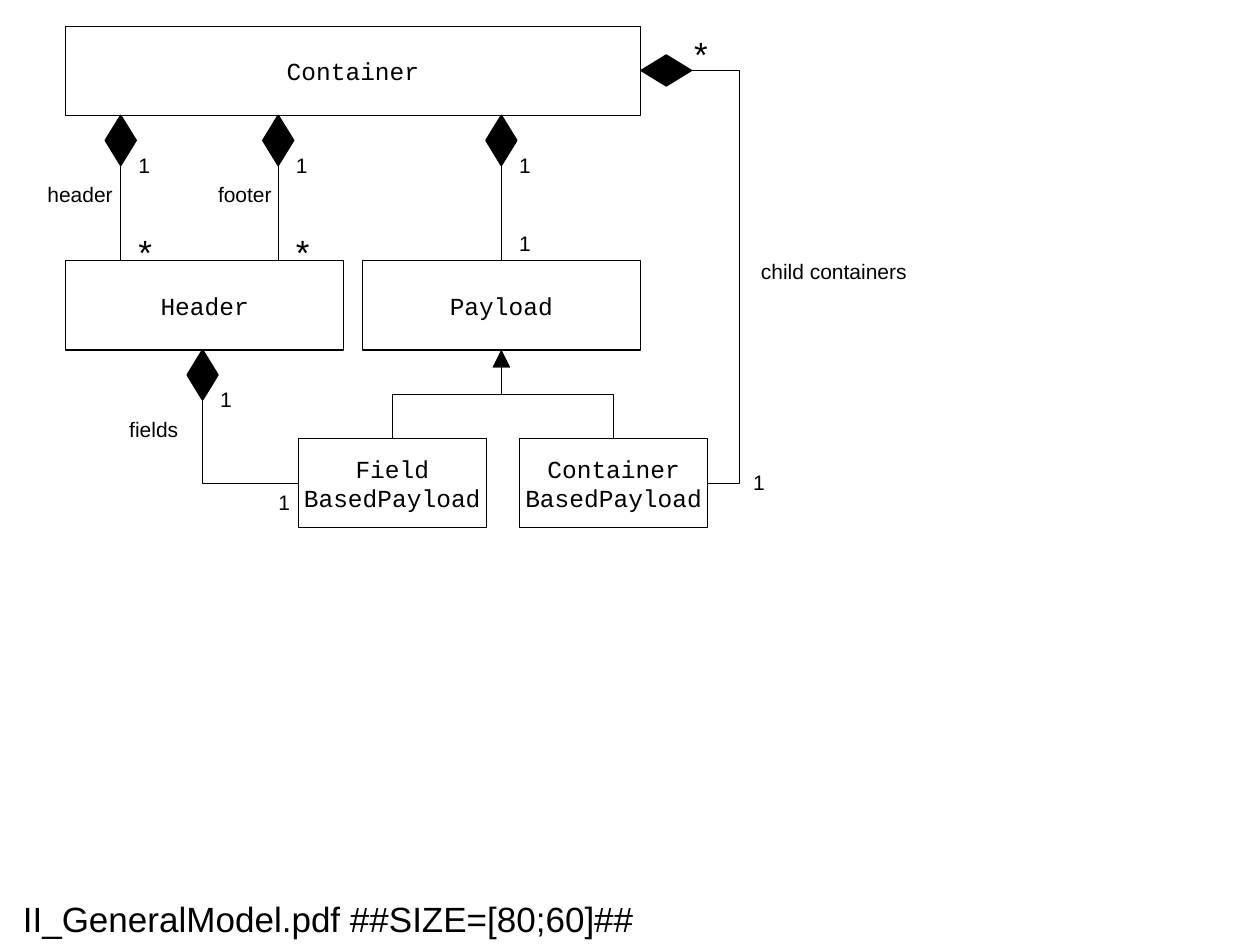
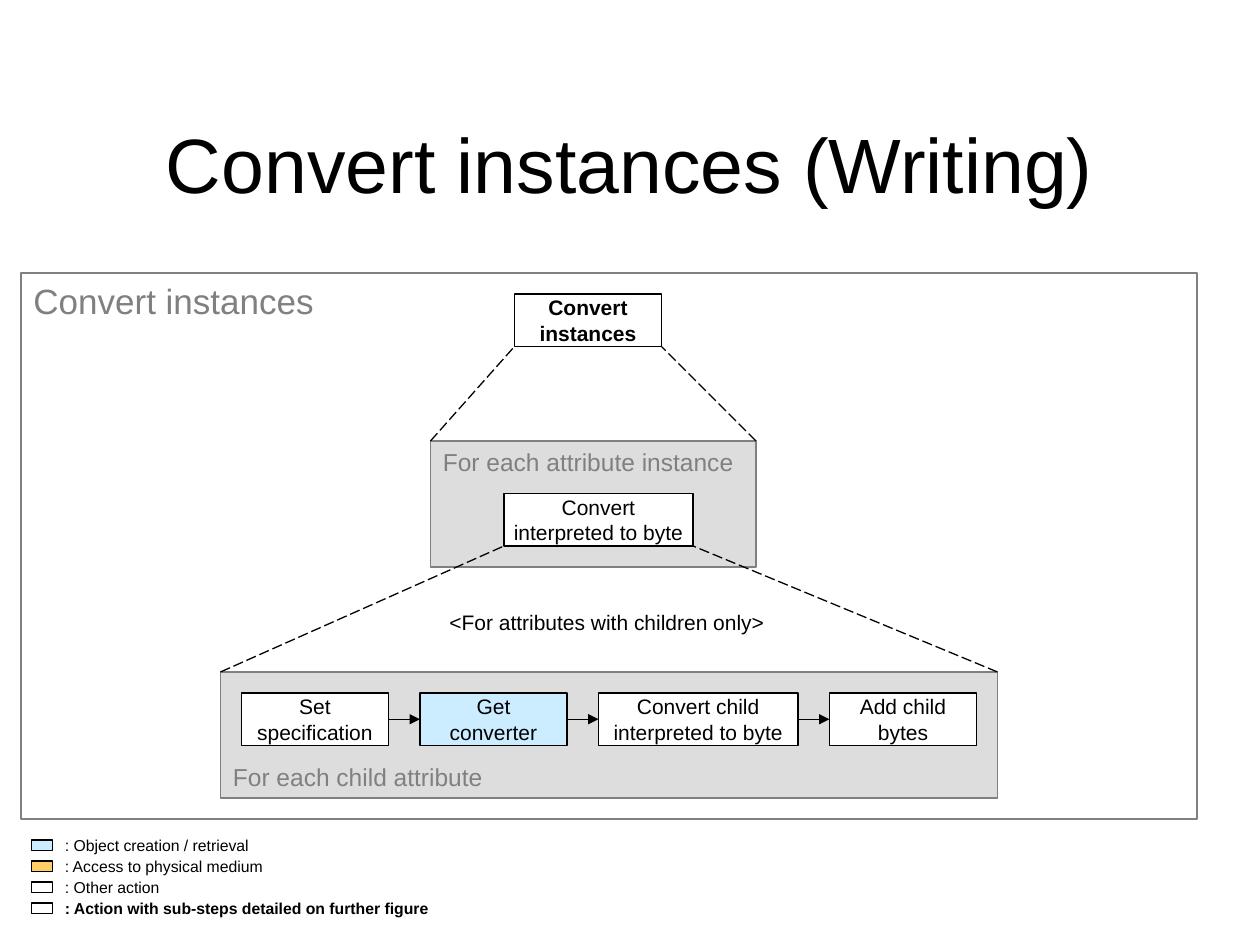
from dataclasses import dataclass

from lxml import etree
from pptx import Presentation
from pptx import util as u
from pptx.dml import color
from pptx.enum import dml, shapes, text
from pptx.oxml import ns

Pt = u.Pt


@dataclass(frozen=True)
class Theme:
    ink: str = "000000"
    paper: str = "FFFFFF"
    muted: str = "808080"
    panel: str = "DDDDDD"
    creation: str = "CCECFF"
    medium: str = "FFCC66"
    sans: str = "Arial"
    mono: str = "Courier New"
    title: int = 44
    heading: int = 20
    panel_label: int = 14
    body: int = 12
    legend: int = 9
    thin: float = 0.5
    outline: float = 0.75


T = Theme()
LEFT, CENTER = text.PP_ALIGN.LEFT, text.PP_ALIGN.CENTER
TOP, MIDDLE, BOTTOM = (text.MSO_ANCHOR.TOP, text.MSO_ANCHOR.MIDDLE,
                       text.MSO_ANCHOR.BOTTOM)

# Class model: boxes as left, top, width, height
MODEL_TITLE = "II_GeneralModel.pdf ##SIZE=[80;60]##"
CLASSES = {
    "Container": (37.5, 15, 328.5, 51),
    "Header": (37.5, 149, 159, 51),
    "Payload": (207, 149, 159, 51),
    "Field\nBasedPayload": (170.5, 250.5, 107.5, 51),
    "Container\nBasedPayload": (297, 250.5, 107.5, 51),
}
# Compositions running straight down: centre x, far multiplicity
COMPOSITIONS = [(69, "*"), (159, "*"), (286.5, "1")]
ROLES = [  # name, left, top
    ("header", 20, 100),
    ("footer", 117.5, 100),
    ("fields", 66.75, 234.5),
    ("child containers", 427.75, 144),
]
ROLE_W = 110
FIELDS_X = 115.75
CHILD_X = 422.5
DIAMOND_W, DIAMOND_H = 17.5, 28.5

# Conversion steps
STEPS_TITLE = "Convert instances (Writing)"
FRAME = ("Convert instances", (12, 156, 672, 312))
ATTRIBUTE_PANEL = ("For each attribute instance", (246, 252, 186, 72))
CHILD_PANEL = ("For each child attribute", (126, 384, 444, 72))
START = ("Convert\ninstances", (294, 168, 84, 30))
INTERPRET = ("Convert\ninterpreted to byte", (288, 282, 108, 30))
CONDITION = ("<For attributes with children only>", (249.75, 344.5, 210, 21.5))
CHILD_STEPS = [  # label, width, fill
    ("Set\nspecification", 84, T.paper),
    ("Get\nconverter", 84, T.creation),
    ("Convert child\ninterpreted to byte", 114, T.paper),
    ("Add child\nbytes", 84, T.paper),
]
STEP_LEFT, STEP_TOP, STEP_H, STEP_GAP = 138, 396, 30, 18
LEGEND = [  # meaning, fill, bold
    (": Object creation / retrieval", T.creation, False),
    (": Access to physical medium", T.medium, False),
    (": Other action", T.paper, False),
    (": Action with sub-steps detailed on further figure", T.paper, True),
]
LEGEND_TOP, LEGEND_PITCH, LEGEND_W = 480, 12, 270


def rgb(code):
    return color.RGBColor.from_string(code)


def points(values):
    return [Pt(value) for value in values]


def write(shape, words, size, font=T.sans, ink=T.ink, bold=False,
          align=LEFT, anchor=TOP, wrap=False):
    frame = shape.text_frame
    frame.word_wrap = wrap
    frame.vertical_anchor = anchor
    paragraph = frame.paragraphs[0]
    paragraph.alignment = align
    for number, line in enumerate(words.split("\n")):
        if number:
            paragraph.add_line_break()
        run = paragraph.add_run()
        run.text = line
        run.font.name, run.font.size, run.font.bold = font, Pt(size), bold
        run.font.color.rgb = rgb(ink)


def label(slide, words, box, size=T.body, **style):
    write(slide.shapes.add_textbox(*points(box)), words, size, **style)


def block(slide, box, fill=None, line=T.ink, weight=T.outline,
          kind=shapes.MSO_SHAPE.RECTANGLE):
    shape = slide.shapes.add_shape(kind, *points(box))
    shape.shadow.inherit = False
    if fill:
        shape.fill.solid()
        shape.fill.fore_color.rgb = rgb(fill)
    else:
        shape.fill.background()
    shape.line.color.rgb = rgb(line)
    shape.line.width = Pt(weight)
    return shape


def diamond(slide, center, middle, rotation=0):
    box = (center - DIAMOND_W / 2, middle - DIAMOND_H / 2, DIAMOND_W, DIAMOND_H)
    block(slide, box, T.ink, weight=1,
          kind=shapes.MSO_SHAPE.DIAMOND).rotation = rotation


def link(slide, start, end, weight=T.outline, dashed=False, arrow=None,
         kind=shapes.MSO_CONNECTOR.STRAIGHT):
    """Draw a connector; arrow is the size of its head, med or lg."""
    line = slide.shapes.add_connector(kind, *points(start + end))
    line.line.color.rgb = rgb(T.ink)
    line.line.width = Pt(weight)
    if dashed:
        line.line.dash_style = dml.MSO_LINE.LONG_DASH
    properties = line._element.spPr
    if arrow:
        etree.SubElement(properties.find(ns.qn("a:ln")), ns.qn("a:tailEnd"),
                         type="triangle", w=arrow, len=arrow)
    etree.SubElement(properties, ns.qn("a:effectLst"))
    return properties


def elbow(slide, start, end, arrow=None):
    return link(slide, start, end, T.thin, arrow=arrow,
                kind=shapes.MSO_CONNECTOR.ELBOW)


def vertical_elbow(slide, start, end, arrow=None):
    """Elbow that leaves vertically: a quarter-turned horizontal elbow."""
    dx, dy = end[0] - start[0], end[1] - start[1]
    cx, cy = (start[0] + end[0]) / 2, (start[1] + end[1]) / 2
    across = -abs(dy) / 2 if dx > 0 else abs(dy) / 2
    down = -abs(dx) / 2 if dy < 0 else abs(dx) / 2
    properties = elbow(slide, (cx - across, cy - down),
                       (cx + across, cy + down), arrow)
    turn = 90 if dx * dy < 0 else 270
    properties.find(ns.qn("a:xfrm")).set("rot", str(turn * 60000))
    return properties


def multiplicity(slide, mark, left, top):
    if mark == "*":
        label(slide, mark, (left, top, 24, 31.5), T.heading)
    else:
        label(slide, mark, (left, top, 24, 21.5))


def build_model(slide):
    label(slide, MODEL_TITLE, (6, 516, 720, 18), T.heading,
          anchor=MIDDLE, wrap=True)

    # Classes
    for name, box in CLASSES.items():
        write(block(slide, box), name, T.panel_label, T.mono,
              align=CENTER, anchor=MIDDLE)
    container, header, payload, field, nested = CLASSES.values()
    container_bottom = container[1] + container[3]
    header_bottom = header[1] + header[3]
    side_y = field[1] + field[3] / 2

    # Straight compositions
    for x, far in COMPOSITIONS:
        diamond(slide, x, container_bottom + DIAMOND_H / 2)
        link(slide, (x, container_bottom + DIAMOND_H), (x, header[1]), T.thin)
        multiplicity(slide, "1", x + 3, container_bottom + 17.5)
        multiplicity(slide, far, x + 3, 128)

    # Payload specialisations
    for box in (field, nested):
        vertical_elbow(slide, (box[0] + box[2] / 2, box[1]),
                       (payload[0] + payload[2] / 2, header_bottom), arrow="lg")

    # Header fields
    diamond(slide, FIELDS_X, header_bottom + DIAMOND_H / 2)
    corner = vertical_elbow(slide, (FIELDS_X, header_bottom + DIAMOND_H),
                            (field[0], side_y))
    corner.find(ns.qn("a:prstGeom")).set("prst", "bentConnector2")
    multiplicity(slide, "1", FIELDS_X + 3, header_bottom + 17.5)
    multiplicity(slide, "1", 152, side_y)

    # Child containers
    right = container[0] + container[2]
    child_y = 40.25
    diamond(slide, right + DIAMOND_H / 2 + 0.5, child_y, 270)
    start, end = (right + DIAMOND_H + 0.5, child_y), (nested[0] + nested[2], side_y)
    geometry = elbow(slide, start, end).find(ns.qn("a:prstGeom"))
    reach = round((CHILD_X - start[0]) / (end[0] - start[0]) * 100000)
    etree.SubElement(geometry.get_or_add_avLst(), ns.qn("a:gd"),
                     name="adj1", fmla=f"val {reach}")
    multiplicity(slide, "*", 389.5, 15)
    multiplicity(slide, "1", 423.25, 265)

    for name, left, top in ROLES:
        label(slide, name, (left, top, ROLE_W, 21.5))


def panel(slide, content, fill=T.panel, size=T.panel_label, anchor=TOP):
    words, box = content
    write(block(slide, box, fill, T.muted), words, size, ink=T.muted,
          anchor=anchor)


def step(slide, words, box, fill=T.paper, bold=False):
    write(block(slide, box, fill), words, T.body, bold=bold,
          align=CENTER, anchor=MIDDLE)


def expand(slide, parent, detail):
    """Dashed lines from the lower corners of a step to its detail panel."""
    for side in (0, 1):
        link(slide, (detail[0] + side * detail[2], detail[1]),
             (parent[0] + side * parent[2], parent[1] + parent[3]), dashed=True)


def build_steps(slide):
    label(slide, STEPS_TITLE, (54, 48, 612, 90), T.title,
          align=CENTER, anchor=MIDDLE, wrap=True)

    # Frame and panels
    panel(slide, FRAME, fill=None, size=T.heading)
    panel(slide, CHILD_PANEL, anchor=BOTTOM)
    panel(slide, ATTRIBUTE_PANEL)
    label(slide, *CONDITION)

    # Upper steps and their expansions
    step(slide, *START, bold=True)
    step(slide, *INTERPRET)
    expand(slide, START[1], ATTRIBUTE_PANEL[1])
    expand(slide, INTERPRET[1], CHILD_PANEL[1])

    # Chain of child steps
    left, middle = STEP_LEFT, STEP_TOP + STEP_H / 2
    for number, (words, width, fill) in enumerate(CHILD_STEPS):
        if number:
            link(slide, (left - STEP_GAP, middle), (left, middle), arrow="med")
        step(slide, words, (left, STEP_TOP, width, STEP_H), fill)
        left += width + STEP_GAP

    # Legend
    for row, (meaning, fill, bold) in enumerate(LEGEND):
        top = LEGEND_TOP + row * LEGEND_PITCH
        block(slide, (18, top, 12, 6), fill)
        label(slide, meaning, (30, top - 6, LEGEND_W, 18), T.legend,
              bold=bold, anchor=MIDDLE)


def main():
    deck = Presentation()
    deck.slide_width, deck.slide_height = Pt(720), Pt(540)
    for build in (build_model, build_steps):
        build(deck.slides.add_slide(deck.slide_layouts[6]))
    deck.save("out.pptx")


if __name__ == "__main__":
    main()
